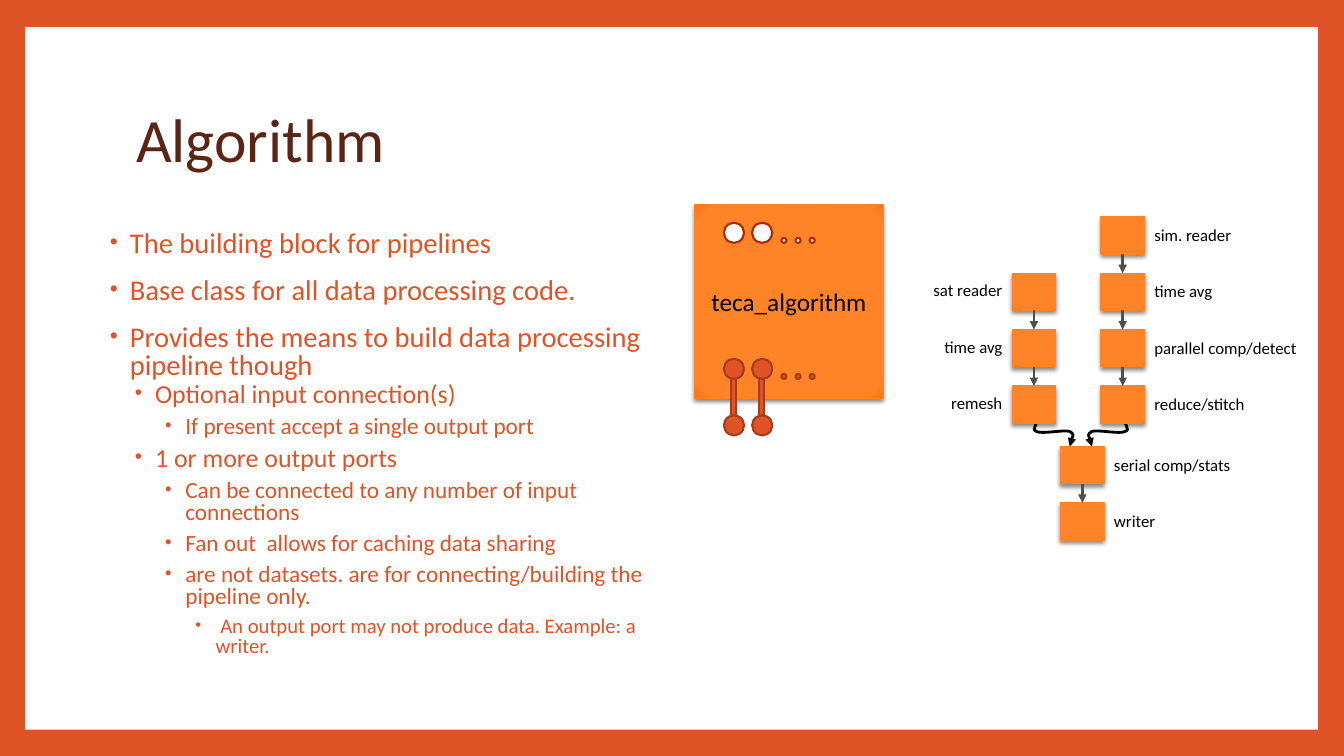
from lxml.etree import SubElement
from pptx import Presentation
from pptx.dml.color import RGBColor
from pptx.enum.shapes import MSO_CONNECTOR, MSO_SHAPE
from pptx.enum.text import MSO_ANCHOR, PP_ALIGN
from pptx.oxml import parse_xml
from pptx.oxml.ns import nsdecls, qn
from pptx.util import Inches, Pt

RUST = RGBColor(0xDF, 0x53, 0x27)
EDGE = RGBColor(0xA5, 0x3D, 0x1D)
RING = RGBColor(0xB2, 0x26, 0x00)
BROWN = RGBColor(0x5B, 0x24, 0x13)
ORANGE = RGBColor(0xFF, 0x84, 0x27)
DEEP = RGBColor(0xFB, 0x75, 0x10)
GRAY = RGBColor(0x50, 0x50, 0x46)
WHITE = RGBColor(0xFF, 0xFF, 0xFF)
BLACK = RGBColor(0, 0, 0)

FONT = "Calibri"
TOP, STEP = 2.15, 0.56
BOX_W, BOX_H = 0.43, 0.37
LEFT, MID, RIGHT = 10.04, 10.52, 10.92
MERGE = 4.07

LEVELS = [(20.4, 0.25, 14, 0), (18.5, 0.5, 2, 4), (16.6, 0.8, 2, 4), (14.8, 1.1, 2, 4)]
POINTS = [
    (0, "The building block for pipelines"),
    (0, "Base class for all data processing code."),
    (0, "Provides the means to build data processing pipeline though"),
    (1, "Optional input connection(s)"),
    (2, "If present accept a single output port"),
    (1, "1 or more output ports"),
    (2, "Can be connected to any number of input connections"),
    (2, "Fan out  allows for caching data sharing"),
    (2, "are not datasets. are for connecting/building the pipeline only."),
    (3, " An output port may not produce data. Example: a writer."),
]
CHAINS = [
    (RIGHT, 0, ["sim. reader", "time avg", "parallel comp/detect", "reduce/stitch"]),
    (MID, MERGE, ["serial comp/stats", "writer"]),
    (LEFT, 1, ["sat reader", "time avg", "remesh"]),
]
CURVE = [(10.28, 4.14), (10.3, 4.22), (10.22, 4.26), (10.28, 4.28), (10.33, 4.31),
         (10.55, 4.26), (10.61, 4.28), (10.66, 4.31), (10.63, 4.34), (10.61, 4.43)]


def grid(*nums):
    return [Inches(n) for n in nums]


def style(para, size, color, align=PP_ALIGN.LEFT):
    para.alignment = align
    for run in para.runs:
        run.font.name = FONT
        run.font.size = Pt(size)
        run.font.color.rgb = color


def add_form(slide, kind, area, fill, line=None, width=1.5):
    form = slide.shapes.add_shape(kind, *grid(*area))
    form.shadow.inherit = False
    form.fill.solid()
    form.fill.fore_color.rgb = fill
    if line is None:
        form.line.fill.background()
    else:
        form.line.color.rgb = line
        form.line.width = Pt(width)
    return form


def add_block(slide, area):
    block = add_form(slide, MSO_SHAPE.RECTANGLE, area, ORANGE, ORANGE, 0.79)
    props = block._element.spPr
    stops = "".join(f'<a:gs pos="{pos}"><a:srgbClr val="{color}"/></a:gs>'
                    for pos, color in [(0, ORANGE), (90000, ORANGE), (100000, DEEP)])
    grad = parse_xml(
        f'<a:gradFill {nsdecls("a")} rotWithShape="1"><a:gsLst>{stops}</a:gsLst>'
        '<a:path path="circle"><a:fillToRect l="100000" t="100000" r="100000" b="100000"/>'
        '</a:path></a:gradFill>')
    props.replace(props.find(qn("a:solidFill")), grad)
    shade = SubElement(props.find(qn("a:effectLst")), qn("a:outerShdw"), blurRad=str(Pt(3)),
                       dist=str(Pt(2)), dir="5400000", rotWithShape="0")
    color = SubElement(shade, qn("a:srgbClr"), val=str(BLACK))
    SubElement(color, qn("a:alpha"), val="45000")
    return block


def add_head(form, color):
    form.line.color.rgb = color
    form.line.width = Pt(2)
    SubElement(form.line._get_or_add_ln(), qn("a:tailEnd"), type="triangle")


def add_arrow(slide, x, top, end):
    arrow = slide.shapes.add_connector(MSO_CONNECTOR.STRAIGHT, *grid(x, top, x, end))
    add_head(arrow, GRAY)
    SubElement(arrow._element.spPr, qn("a:effectLst"))


def add_curve(slide, points):
    spots = [tuple(grid(*point)) for point in points]
    maker = slide.shapes.build_freeform(*spots[0])
    maker.add_line_segments(spots[1:], close=False)
    curve = maker.convert_to_shape()
    curve.shadow.inherit = False
    curve.fill.background()
    add_head(curve, BLACK)
    lines = list(curve._element.spPr.iter(qn("a:lnTo")))
    trace = lines[0].getparent()
    for start in range(0, len(lines), 3):
        bend = SubElement(trace, qn("a:cubicBezTo"))
        for line in lines[start:start + 3]:
            bend.append(line[0])
            trace.remove(line)


def add_label(slide, area, text, align):
    frame = slide.shapes.add_textbox(*grid(*area)).text_frame
    frame.word_wrap = True
    frame.text = text
    style(frame.paragraphs[0], 12, BLACK, align)


def add_title(slide):
    title = slide.shapes.title
    title.left, title.top, title.width, title.height = grid(1.25, 0.67, 10.8, 1.48)
    frame = title.text_frame
    frame.text = "Algorithm"
    frame.vertical_anchor = MSO_ANCHOR.MIDDLE
    frame.paragraphs[0].line_spacing = 0.9
    style(frame.paragraphs[0], 44, BROWN)


def add_points(slide):
    frame = slide.shapes.add_textbox(*grid(0.94, 2.25, 6.02, 4.42)).text_frame
    frame.word_wrap = True
    for index, (level, text) in enumerate(POINTS):
        size, indent, before, after = LEVELS[level]
        para = frame.add_paragraph() if index else frame.paragraphs[0]
        para.text = text
        para.level = level
        para.line_spacing = 0.8
        para.space_before, para.space_after = Pt(before), Pt(after)
        style(para, size, RUST)
        props = para._p.get_or_add_pPr()
        props.set("marL", str(Inches(indent)))
        props.set("indent", str(Inches(-0.2)))
        tint = SubElement(props, qn("a:buClr"))
        SubElement(tint, qn("a:srgbClr"), val=str(RUST))
        SubElement(props, qn("a:buSzPct"), val="80000")
        SubElement(props, qn("a:buFont"), typeface="Arial")
        SubElement(props, qn("a:buChar"), char="•")


def add_module(slide):
    block = add_block(slide, (6.89, 2.03, 1.87, 1.92))
    frame = block.text_frame
    frame.text = "teca_algorithm"
    frame.vertical_anchor = MSO_ANCHOR.MIDDLE
    style(frame.paragraphs[0], 18, BLACK, PP_ALIGN.CENTER)
    for x in (7.18, 7.46):
        add_form(slide, MSO_SHAPE.RECTANGLE, (x + 0.07, 3.64, 0.05, 0.58), RUST, EDGE)
        for y, fill, line in [(2.21, WHITE, RING), (3.56, RUST, EDGE), (4.12, RUST, EDGE)]:
            add_form(slide, MSO_SHAPE.OVAL, (x, y, 0.2, 0.2), fill, line)
    for y, fill, line in [(2.36, WHITE, RING), (3.71, RUST, EDGE)]:
        for index in range(3):
            area = (7.75 + 0.14 * index, y, 0.05, 0.05)
            add_form(slide, MSO_SHAPE.OVAL, area, fill, line)


def add_chain(slide, x, first, names):
    for index, name in enumerate(names):
        y = TOP + STEP * (first + index)
        add_block(slide, (x, y, BOX_W, BOX_H))
        if index:
            add_arrow(slide, x + BOX_W / 2, y - STEP + BOX_H, y)
        if x == LEFT:
            add_label(slide, (x - 1.1, y + 0.02, 1.1, 0.3), name, PP_ALIGN.RIGHT)
        else:
            add_label(slide, (x + BOX_W, y + 0.03, 1.75, 0.3), name, PP_ALIGN.LEFT)


def main():
    deck = Presentation()
    deck.slide_width, deck.slide_height = grid(13.33, 7.5)
    slide = deck.slides.add_slide(deck.slide_layouts[5])
    slide.background.fill.solid()
    slide.background.fill.fore_color.rgb = RUST
    panel = add_form(slide, MSO_SHAPE.RECTANGLE, (0.25, 0.27, 12.82, 6.97), WHITE)
    slide.shapes._spTree.insert(2, panel._element)
    add_title(slide)
    add_points(slide)
    add_module(slide)
    add_curve(slide, CURVE)
    add_curve(slide, [(LEFT + RIGHT + 0.48 - x, y) for x, y in CURVE])
    for chain in CHAINS:
        add_chain(slide, *chain)
    deck.save("out.pptx")


if __name__ == "__main__":
    main()
